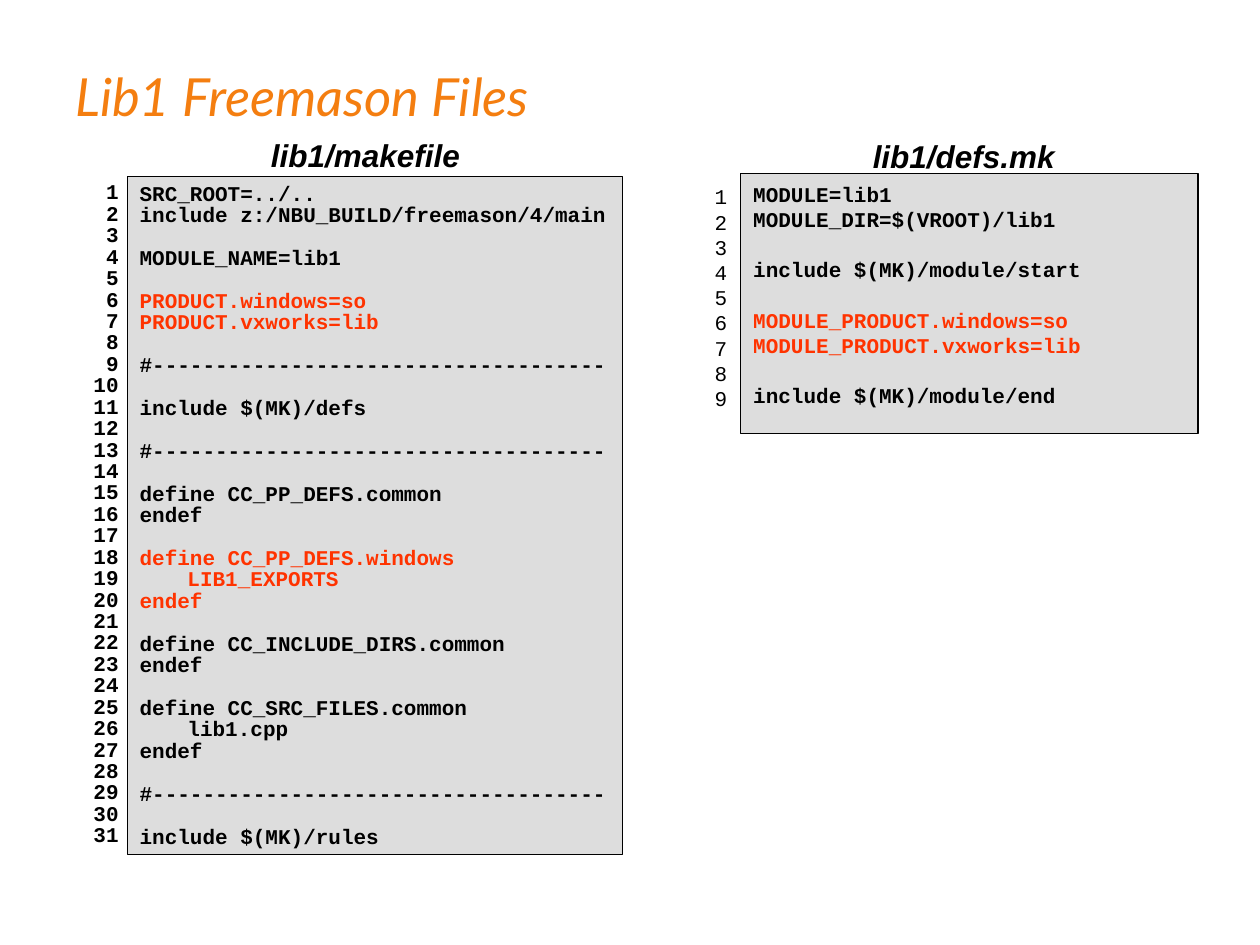
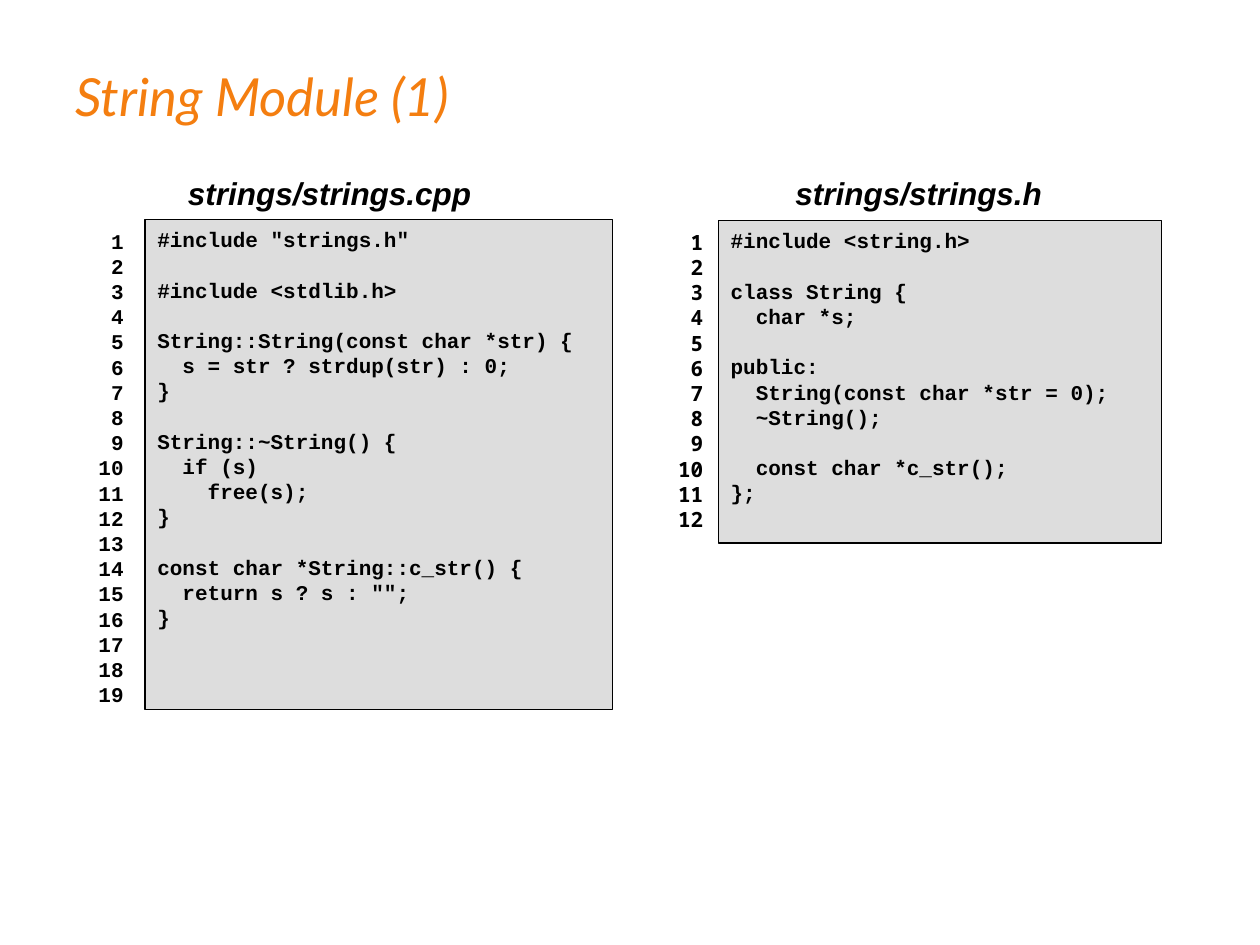
from dataclasses import dataclass
from typing import Any

from lxml import etree
from pptx import Presentation
from pptx import util as u
from pptx.dml.color import RGBColor
from pptx.enum import shapes, text
from pptx.oxml import ns

COLOURS = {"title": "F47E10", "ink": "000000", "accent": "FF3300", "panel": "DDDDDD"}
COLUMNS, ROWS = 100, 75
CAPTION_WIDTH, CAPTION_HEIGHT, GUTTER_WIDTH = 28, 4, 5
TAB_WIDTH = u.Inches(0.38)
SINGLE, TIGHT = 14.4, 12.24

TITLE_FONT = {"name": "Lato", "size": u.Pt(30), "italic": True}
CAPTION_FONT = {"name": "Arial", "size": u.Pt(18), "bold": True, "italic": True}
CODE_FONT = {"name": "Courier New", "size": u.Pt(12), "bold": True}

LEFT_ALIGNED = {"alignment": text.PP_ALIGN.LEFT}
RIGHT_ALIGNED = {"alignment": text.PP_ALIGN.RIGHT}
SIDE, EDGE = u.Inches(0.1), u.Inches(0.05)
FRAME = {
    "word_wrap": True,
    "vertical_anchor": text.MSO_ANCHOR.TOP,
    "margin_left": SIDE,
    "margin_right": SIDE,
    "margin_top": EDGE,
    "margin_bottom": EDGE,
}
CODE_FRAME = FRAME | {"margin_top": u.Inches(0.06)}
GUTTER_FRAME = CODE_FRAME | {"margin_left": 0}
TITLE_FRAME = FRAME | {"vertical_anchor": text.MSO_ANCHOR.MIDDLE}

RULE = "#" + "-" * 36
MAKEFILE = f"""SRC_ROOT=../..
include z:/NBU_BUILD/freemason/4/main

MODULE_NAME=lib1

PRODUCT.windows=so
PRODUCT.vxworks=lib

{RULE}

include $(MK)/defs

{RULE}

define CC_PP_DEFS.common
endef

define CC_PP_DEFS.windows
\tLIB1_EXPORTS
endef

define CC_INCLUDE_DIRS.common
endef

define CC_SRC_FILES.common
\tlib1.cpp
endef

{RULE}

include $(MK)/rules"""

DEFS_MK = """MODULE=lib1
MODULE_DIR=$(VROOT)/lib1

include $(MK)/module/start

MODULE_PRODUCT.windows=so
MODULE_PRODUCT.vxworks=lib

include $(MK)/module/end"""

STRINGS_CPP = """#include "strings.h"

#include <stdlib.h>

String::String(const char *str) {
  s = str ? strdup(str) : 0;
}

String::~String() {
  if (s)
    free(s);
}

const char *String::c_str() {
  return s ? s : "";
}"""

STRINGS_H = """#include <string.h>

class String {
  char *s;

public:
  String(const char *str = 0);
  ~String();

  const char *c_str();
};"""


@dataclass(frozen=True)
class Area:
    column: float
    row: float
    columns: float
    rows: float


@dataclass(frozen=True)
class Listing:
    caption: str
    caption_right: float
    caption_top: float
    panel: Area
    gutter_right: float
    gutter_top: float
    code: str
    last_number: int
    pitch: float = SINGLE
    accented: tuple[int, ...] = ()
    number_font: tuple[tuple[str, Any], ...] = ()


@dataclass(frozen=True)
class Page:
    title: str
    listings: tuple[Listing, ...]


PAGES = (
    Page("Lib1 Freemason Files", (
        Listing("lib1/makefile", 37.5, 10.3, Area(10.1, 14, 39.3, 53.8), 10.4, 13.9,
                MAKEFILE, 31, pitch=TIGHT, accented=(6, 7, 18, 19, 20)),
        Listing("lib1/defs.mk", 84.7, 10.4, Area(58.8, 13.8, 36.3, 20.6), 58.7, 14,
                DEFS_MK, 9, accented=(6, 7), number_font=(("bold", False),)),
    )),
    Page("String Module (1)", (
        Listing("strings/strings.cpp", 38.4, 13.3, Area(11.5, 17.4, 37.1, 38.9), 10.8, 17.5,
                STRINGS_CPP, 19),
        Listing("strings/strings.h", 83.7, 13.3, Area(57, 17.5, 35.2, 25.6), 56.8, 17.6,
                STRINGS_H, 12, number_font=(("name", "Noto Sans Mono"),)),
    )),
)


def apply(target: Any, values: dict[str, Any]) -> None:
    for name, value in values.items():
        setattr(target, name, value)


def colour(name: str) -> RGBColor:
    return RGBColor.from_string(COLOURS[name])


def place(deck: Any, area: Area) -> tuple[int, ...]:
    column, row = deck.slide_width / COLUMNS, deck.slide_height / ROWS
    return (round(area.column * column), round(area.row * row),
            round(area.columns * column), round(area.rows * row))


def add_tab_stop(para: Any) -> None:
    tabs = etree.SubElement(para._p.get_or_add_pPr(), ns.qn("a:tabLst"))
    etree.SubElement(tabs, ns.qn("a:tab"), pos=str(TAB_WIDTH), algn="l")


def write_lines(box: Any, lines: list[str], frame: dict, layout: dict, font: dict,
                ink: str = "ink", accented: tuple[int, ...] = ()) -> None:
    apply(box.text_frame, frame)
    for number, line in enumerate(lines, 1):
        para = box.text_frame.paragraphs[0] if number == 1 else box.text_frame.add_paragraph()
        if line.startswith("\t"):
            add_tab_stop(para)
        apply(para, layout)
        if line:
            span = para.add_run()
            span.text = line
            apply(span.font, font)
            span.font.color.rgb = colour("accent" if number in accented else ink)


def add_text(deck: Any, page: Any, area: Area, lines: list[str], *style: Any) -> None:
    write_lines(page.shapes.add_textbox(*place(deck, area)), lines, *style)


def add_listing(deck: Any, page: Any, listing: Listing) -> None:
    panel = page.shapes.add_shape(shapes.MSO_SHAPE.RECTANGLE, *place(deck, listing.panel))
    panel.shadow.inherit = False
    panel.fill.solid()
    panel.fill.fore_color.rgb = colour("panel")
    panel.line.color.rgb = colour("ink")
    panel.line.width = u.Pt(0.75)
    spacing = {"line_spacing": u.Pt(listing.pitch)}
    write_lines(panel, listing.code.split("\n"), CODE_FRAME, LEFT_ALIGNED | spacing,
                CODE_FONT, accented=listing.accented)

    caption = Area(listing.caption_right - CAPTION_WIDTH, listing.caption_top,
                   CAPTION_WIDTH, CAPTION_HEIGHT)
    add_text(deck, page, caption, [listing.caption], FRAME, RIGHT_ALIGNED, CAPTION_FONT)

    gutter = Area(listing.gutter_right - GUTTER_WIDTH, listing.gutter_top,
                  GUTTER_WIDTH, listing.panel.rows)
    numbers = [str(number) for number in range(1, listing.last_number + 1)]
    add_text(deck, page, gutter, numbers, GUTTER_FRAME, RIGHT_ALIGNED | spacing,
             CODE_FONT | dict(listing.number_font))


def main() -> None:
    deck = Presentation()
    apply(deck, {"slide_width": u.Inches(10), "slide_height": u.Inches(7.5)})
    for content in PAGES:
        page = deck.slides.add_slide(deck.slide_layouts[6])
        add_text(deck, page, Area(5, 1.3, 90, 12.5), [content.title],
                 TITLE_FRAME, LEFT_ALIGNED, TITLE_FONT, "title")
        for listing in content.listings:
            add_listing(deck, page, listing)
    deck.save("out.pptx")


if __name__ == "__main__":
    main()
